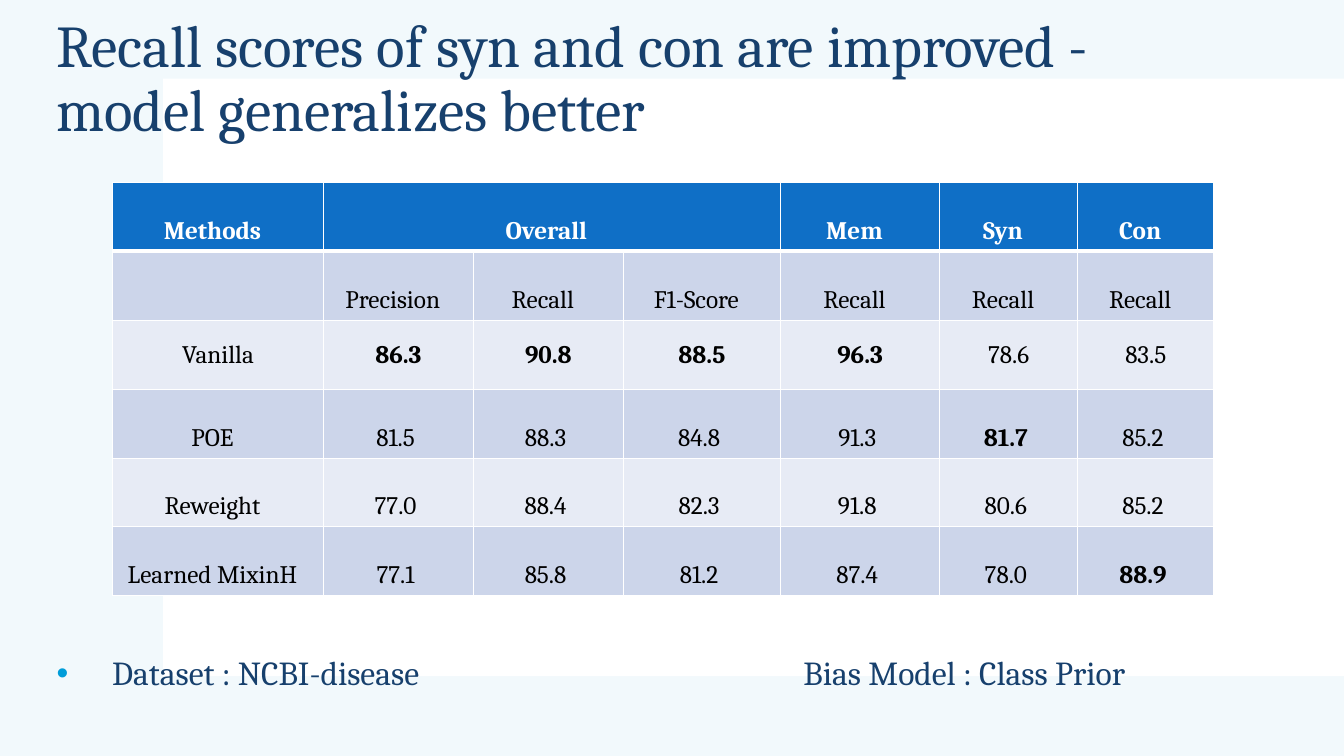
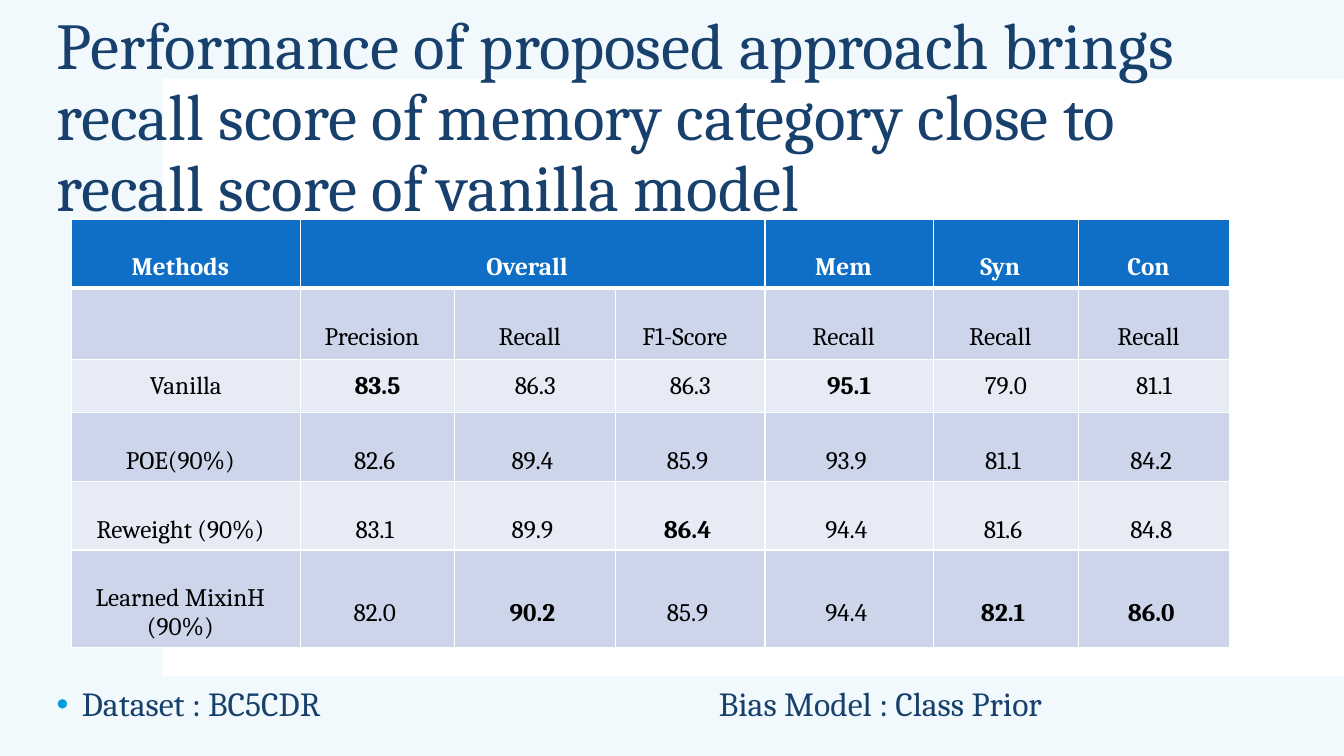
from lxml import etree
from pptx import Presentation
from pptx.dml.color import RGBColor
from pptx.enum.shapes import MSO_SHAPE
from pptx.enum.text import MSO_ANCHOR, MSO_AUTO_SIZE, PP_ALIGN
from pptx.oxml.ns import qn
from pptx.util import Cm, Pt

RECTANGLE = MSO_SHAPE.RECTANGLE
MIDDLE = MSO_ANCHOR.MIDDLE
NO_AUTOFIT = MSO_AUTO_SIZE.NONE
LEFT, CENTER = PP_ALIGN.LEFT, PP_ALIGN.CENTER

FONT = "Cambria"
NAVY = RGBColor(0x17, 0x40, 0x6D)
BLUE = RGBColor(0x0F, 0x6F, 0xC6)
BULLET_BLUE = RGBColor(0x00, 0x9D, 0xD9)
PALE_BLUE = RGBColor(0xDB, 0xEF, 0xF9)
BAND_DARK = RGBColor(0xCC, 0xD5, 0xEA)
BAND_LIGHT = RGBColor(0xE7, 0xEB, 0xF5)
WHITE = RGBColor(0xFF, 0xFF, 0xFF)
BLACK = RGBColor(0x00, 0x00, 0x00)

# Content; lengths in cm, text sizes in points
GROUPS = ["Methods", "Overall", "", "", "Mem", "Syn", "Con"]
MEASURES = ["", "Precision", "Recall", "F1-Score", "Recall", "Recall", "Recall"]
OVERALL_FIRST, OVERALL_LAST = 1, 3
VANILLA_ROW = 2

RESULTS = [
    {
        "title": "Recall scores of syn and con are improved - model generalizes better",
        "title_top": 0.7, "title_height": 2.64, "title_size": 42.3,
        "table_left": 2.84, "table_top": 4.6,
        "columns": [5.31, 3.78, 3.78, 3.96, 4.01, 3.48, 3.43],
        "rows": [1.73] * 6,
        "scores": [
            ("Vanilla", 86.3, 90.8, 88.5, 96.3, 78.6, 83.5),
            ("POE", 81.5, 88.3, 84.8, 91.3, 81.7, 85.2),
            ("Reweight", 77.0, 88.4, 82.3, 91.8, 80.6, 85.2),
            ("Learned MixinH", 77.1, 85.8, 81.2, 87.4, 78.0, 88.9),
        ],
        "dataset": "Dataset : NCBI-disease", "bias": "Bias Model : Class Prior",
        "caption_top": 16.36, "caption_size": 24,
        "bullet_indent": 1.4, "bias_left": 19.99,
    },
    {
        "title": "Performance of proposed approach brings recall score of memory "
                 "category close to recall score of vanilla model",
        "title_top": 0.46, "title_height": 5.1, "title_size": 46.8,
        "table_left": 1.8, "table_top": 5.52,
        "columns": [5.77, 3.89, 4.06, 3.76, 4.24, 3.66, 3.81],
        "rows": [1.73, 1.8, 1.35, 1.73, 1.73, 2.46],
        "scores": [
            ("Vanilla", 83.5, 86.3, 86.3, 95.1, 79.0, 81.1),
            ("POE(90%)", 82.6, 89.4, 85.9, 93.9, 81.1, 84.2),
            ("Reweight (90%)", 83.1, 89.9, 86.4, 94.4, 81.6, 84.8),
            ("Learned MixinH\n(90%)", 82.0, 90.2, 85.9, 94.4, 82.1, 86.0),
        ],
        "dataset": "Dataset : BC5CDR", "bias": "Bias Model : Class Prior",
        "caption_top": 17.15, "caption_size": 24.1,
        "bullet_indent": 0.64, "bias_left": 17.86,
    },
]

# Shared measures
SLIDE_WIDTH, SLIDE_HEIGHT = Cm(33.87), Cm(19.05)
TEXT_LEFT, TITLE_WIDTH = 1.17, 29.29
CAPTION_WIDTH, CAPTION_HEIGHT = 12, 1.27
CELL_MARGIN = 0.13
HEADROOM = 0.85
LABEL_SHIFT, SCORE_SHIFT = 0.28, 0.14
CELL_SIZE = 18
THIN, THICK = 1, 3


def add_solid_fill(parent, color):
    fill = etree.SubElement(parent, qn("a:solidFill"))
    return etree.SubElement(fill, qn("a:srgbClr"), val=str(color))


def style_runs(paragraph, size, color, bold=False):
    for run in paragraph.runs:
        run.font.name = FONT
        run.font.size = Pt(size)
        run.font.bold = bold
        run.font.color.rgb = color


def add_backdrop(slide, layout):
    """Draw the tinted page and white panel, then hand them to the layout."""
    panels = [
        (0, 0, SLIDE_WIDTH, SLIDE_HEIGHT, PALE_BLUE),
        (Cm(4.11), Cm(1.98), SLIDE_WIDTH - Cm(4.11), Cm(15.06), WHITE),
    ]
    for position, (left, top, width, height, color) in enumerate(panels):
        panel = slide.shapes.add_shape(RECTANGLE, left, top, width, height)
        panel.shadow.inherit = False
        panel.line.fill.background()
        panel.fill.solid()
        panel.fill.fore_color.rgb = color
        if color == PALE_BLUE:
            tint = panel.element.spPr.find(".//" + qn("a:srgbClr"))
            etree.SubElement(tint, qn("a:alpha"), val="35000")
        layout.shapes.element.insert(2 + position, panel.element)


def fill_placeholder(placeholder, text, box, size):
    placeholder.left, placeholder.top, placeholder.width, placeholder.height = map(Cm, box)
    frame = placeholder.text_frame
    frame.text = text
    frame.auto_size = NO_AUTOFIT
    frame.vertical_anchor = MIDDLE
    paragraph = frame.paragraphs[0]
    paragraph.alignment = LEFT
    paragraph.line_spacing = 0.9
    paragraph.space_before = Pt(0)
    style_runs(paragraph, size, NAVY)
    return paragraph


def set_bullet(paragraph, indent):
    properties = paragraph._p.get_or_add_pPr()
    properties.set("marL", str(Cm(indent)))
    properties.set("indent", str(-Cm(indent)))
    if not indent:
        etree.SubElement(properties, qn("a:buNone"))
        return
    bullet_color = etree.SubElement(properties, qn("a:buClr"))
    etree.SubElement(bullet_color, qn("a:srgbClr"), val=str(BULLET_BLUE))
    etree.SubElement(properties, qn("a:buFont"), typeface="Arial")
    etree.SubElement(properties, qn("a:buChar"), char="•")


def set_borders(cell, row):
    widths = {
        "a:lnL": THIN,
        "a:lnR": THIN,
        "a:lnT": THICK if row == 1 else THIN,
        "a:lnB": THICK if row == 0 else THIN,
    }
    properties = cell._tc.get_or_add_tcPr()
    for position, (side, width) in enumerate(widths.items()):
        border = etree.Element(qn(side), w=str(Pt(width)))
        add_solid_fill(border, WHITE)
        properties.insert(position, border)


def fill_cell(cell, text, row, column, bold):
    cell.fill.solid()
    cell.fill.fore_color.rgb = BLUE if row == 0 else (BAND_LIGHT, BAND_DARK)[row % 2]
    if row and row % 2 == 0:
        cell.fill.fore_color.rgb = BAND_LIGHT
    set_borders(cell, row)
    cell.vertical_anchor = MIDDLE
    cell.margin_top = cell.margin_bottom = Cm(CELL_MARGIN)
    cell.margin_left = cell.margin_right = Cm(0.25)
    if row != VANILLA_ROW:
        is_label = row < VANILLA_ROW or column == 0
        cell.margin_top = Cm(HEADROOM)
        cell.margin_right = Cm(0.25 + (LABEL_SHIFT if is_label else SCORE_SHIFT))
    cell.text_frame.text = text
    for paragraph in cell.text_frame.paragraphs:
        paragraph.alignment = CENTER
        style_runs(paragraph, CELL_SIZE, BLACK if row else WHITE, bold)


def add_score_table(slide, result):
    scores, columns, rows = result["scores"], result["columns"], result["rows"]
    table = slide.shapes.add_table(
        len(rows), len(columns), Cm(result["table_left"]), Cm(result["table_top"]),
        Cm(sum(columns)), Cm(sum(rows))).table
    for column, width in enumerate(columns):
        table.columns[column].width = Cm(width)
    for row, height in enumerate(rows):
        table.rows[row].height = Cm(height)

    # The best score of each column is bold
    best = [None] + [max(column) for column in list(zip(*scores))[1:]]
    for row, values in enumerate([GROUPS, MEASURES, *scores]):
        for column, value in enumerate(values):
            text = value if isinstance(value, str) else f"{value:.1f}"
            bold = row == 0 or value == best[column]
            fill_cell(table.cell(row, column), text, row, column, bold)
    table.cell(0, OVERALL_FIRST).merge(table.cell(0, OVERALL_LAST))


def add_result_slide(slide, result):
    title_box = (TEXT_LEFT, result["title_top"], TITLE_WIDTH, result["title_height"])
    fill_placeholder(slide.shapes.title, result["title"], title_box, result["title_size"])

    # Dataset and bias model on one line below the table
    captions = [
        (1, result["dataset"], TEXT_LEFT, result["bullet_indent"]),
        (2, result["bias"], result["bias_left"], 0),
    ]
    for index, text, left, indent in captions:
        box = (left, result["caption_top"], CAPTION_WIDTH, CAPTION_HEIGHT)
        caption = fill_placeholder(
            slide.placeholders[index], text, box, result["caption_size"])
        set_bullet(caption, indent)

    add_score_table(slide, result)


def main():
    deck = Presentation()
    deck.slide_width, deck.slide_height = SLIDE_WIDTH, SLIDE_HEIGHT
    two_content = deck.slide_layouts[3]
    slides = [deck.slides.add_slide(two_content) for _ in RESULTS]
    add_backdrop(slides[0], two_content)
    for slide, result in zip(slides, RESULTS):
        add_result_slide(slide, result)
    deck.save("out.pptx")


if __name__ == "__main__":
    main()
